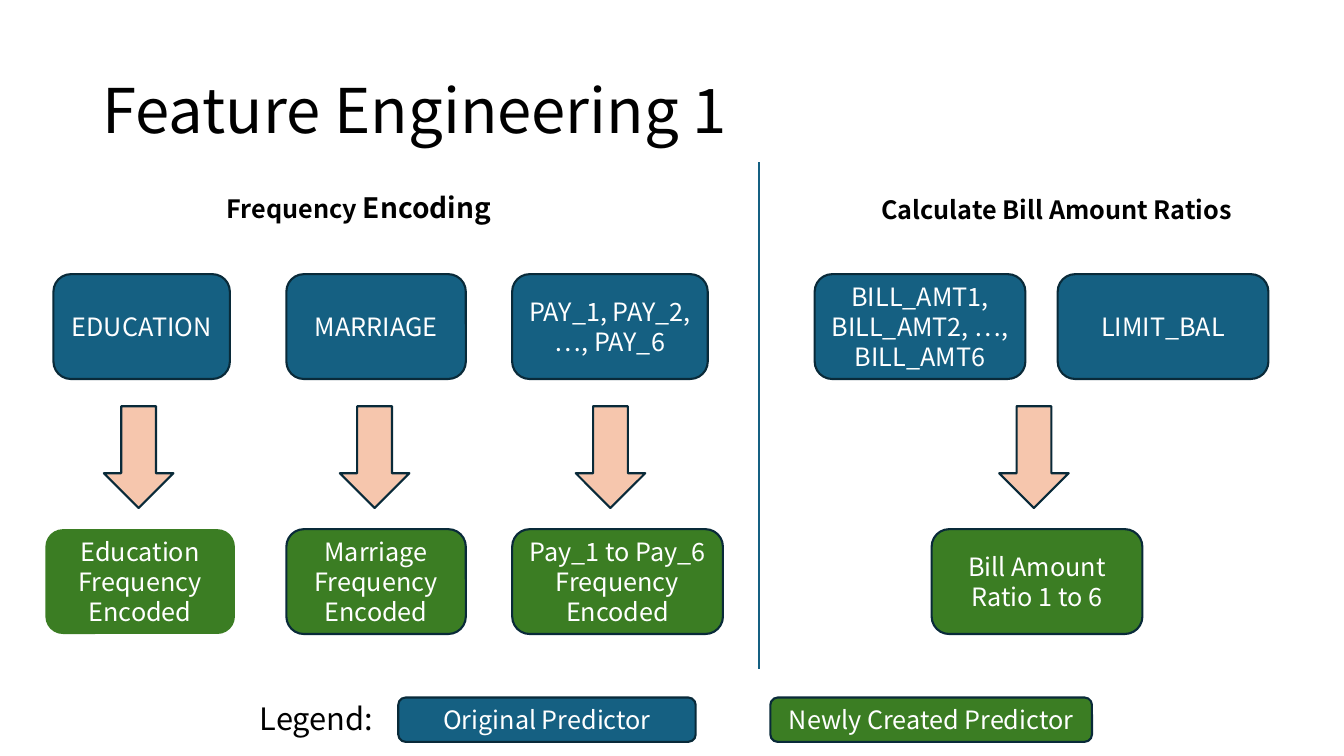
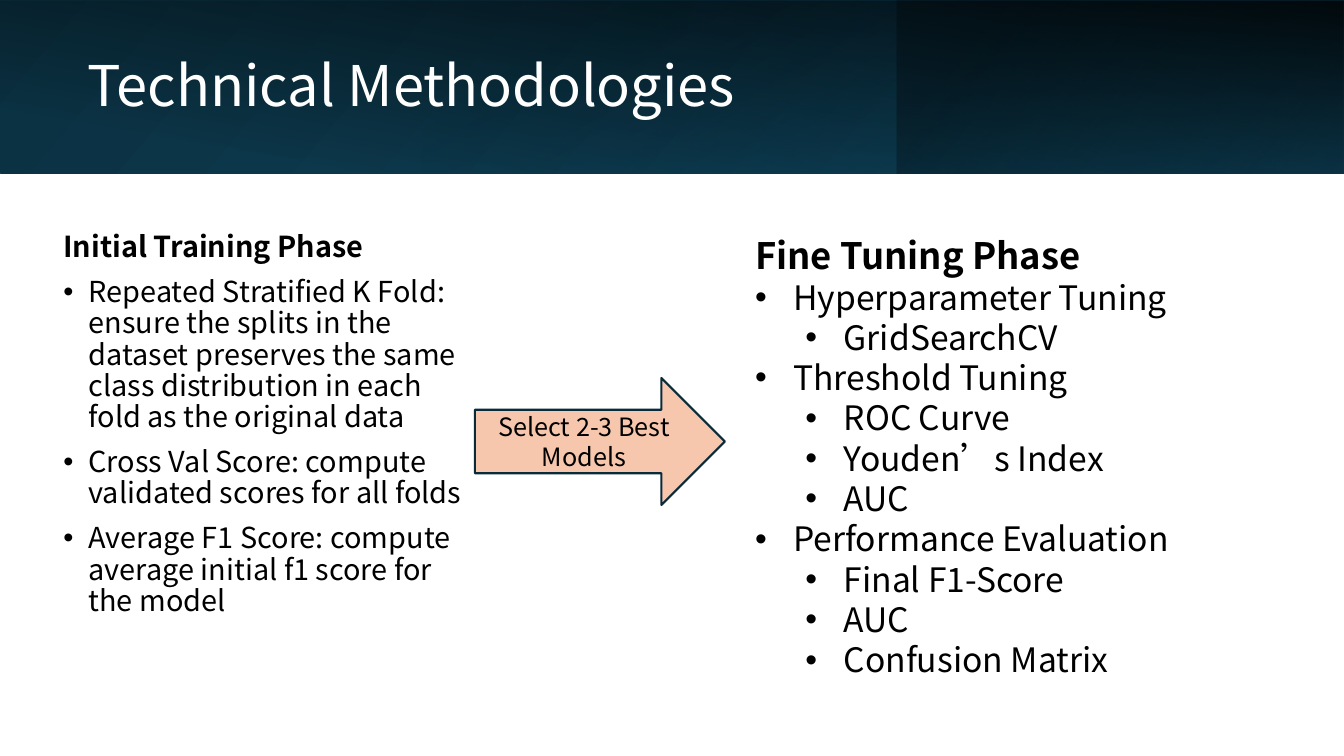
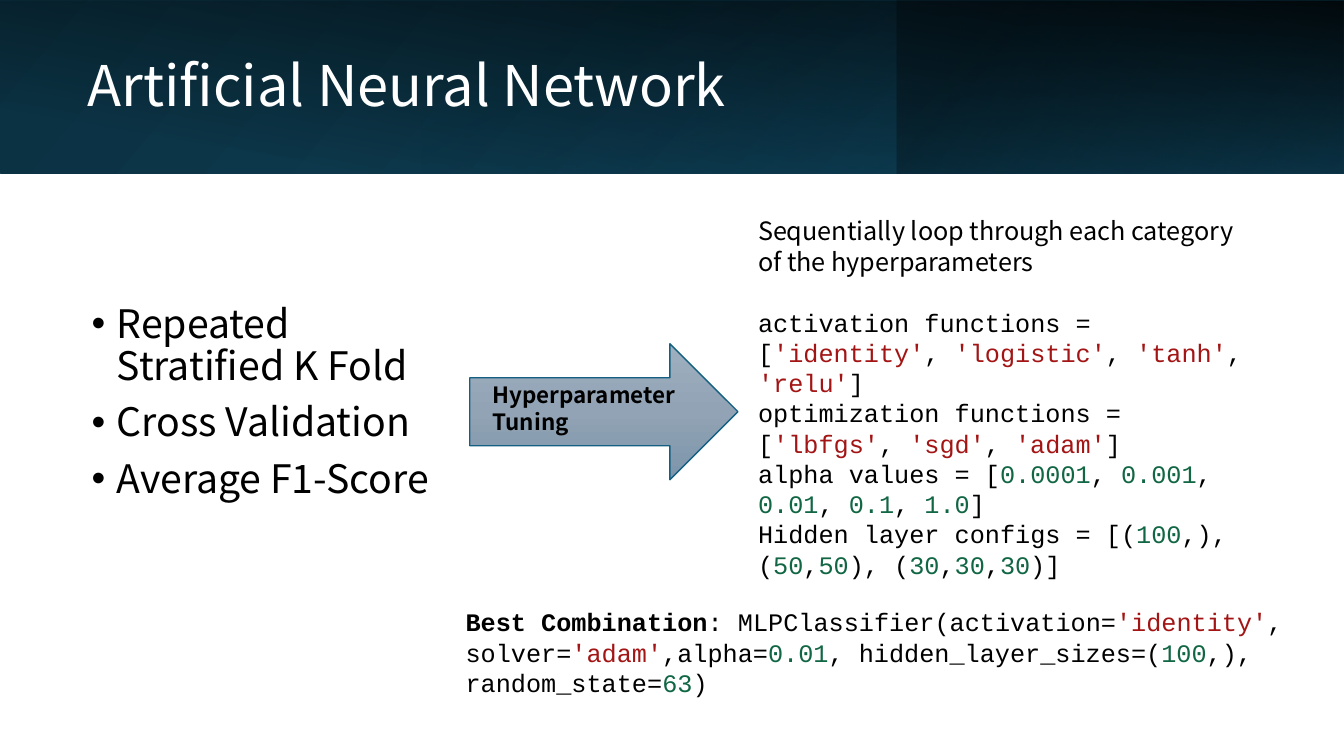
from dataclasses import dataclass

from lxml import etree
from pptx import Presentation
from pptx.dml.color import RGBColor
from pptx.enum.shapes import MSO_CONNECTOR, MSO_SHAPE as Preset
from pptx.enum.text import MSO_ANCHOR as Anchor, PP_ALIGN as Align
from pptx.oxml.ns import qn
from pptx.util import Inches, Pt


class Theme:
    BODY_FONT = "Noto Sans CJK SC"
    CODE_FONT = "Courier New"
    BLACK, WHITE = "000000", "FFFFFF"
    BLUE, GREEN, PEACH = "156082", "3B7D23", "F6C6AD"
    NAVY, DEEP_BLUE, OUTLINE = "0B3041", "104862", "092A39"
    STRING, NUMBER = "A31515", "116644"
    STEEL = [(0, "9EAFBF", 100), (50, "91A3B4", 100), (100, "7C95AB", 100)]
    TITLE, BAND_TITLE, LARGE, HEADING, TREE = 44, 40, 28, 26, 24
    LEGEND, PHASE, EMPHASIS, NORMAL, SMALL = 22, 20.6, 20, 18, 16
    OUTLINE_WIDTH = 1.5


@dataclass
class Run:
    text: str
    size: float = Theme.NORMAL
    color: str = Theme.BLACK
    bold: bool = False
    font: str = Theme.BODY_FONT


@dataclass
class Para:
    runs: list
    align: Align = Align.LEFT
    spacing: float = 1.0
    before: float = 0
    level: int = 0
    indent: float = 0
    hang: float = 0


# ---- Content ----

ENCODING_HEADING = [Run("Frequency ", bold=True),
                    Run("Encoding", Theme.EMPHASIS, bold=True)]
RATIO_HEADING = [Run("Calculate Bill Amount Ratios", bold=True)]
# text, left, width
ORIGINAL_PREDICTORS = [
    ("EDUCATION", 0.53, 1.75),
    ("MARRIAGE", 2.84, 1.78),
    ("PAY_1, PAY_2,\n…, PAY_6", 5.08, 1.94),
    ("BILL_AMT1, BILL_AMT2, …, BILL_AMT6", 8.08, 2.09),
    ("LIMIT_BAL", 10.49, 2.09),
]
# text, left, width, outline
NEW_PREDICTORS = [
    ("Education Frequency Encoded", 0.45, 1.88, None),
    ("Marriage Frequency Encoded", 2.84, 1.78, Theme.OUTLINE),
    ("Pay_1 to Pay_6 Frequency Encoded", 5.08, 2.09, Theme.OUTLINE),
    ("Bill Amount Ratio 1 to 6", 9.24, 2.09, Theme.OUTLINE),
]
ARROW_LEFTS = [1.03 + 2.34 * column for column in range(3)] + [9.91]
LEGEND_KEYS = [
    ("Original Predictor", 3.95, 2.95, Theme.BLUE),
    ("Newly Created Predictor", 7.64, 3.19, Theme.GREEN),
]

TRAINING_STEPS = [
    "Repeated Stratified K Fold: ensure the splits in the dataset preserves "
    "the same class distribution in each fold as the original data",
    "Cross Val Score: compute validated scores for all folds",
    "Average F1 Score: compute average initial f1 score for the model",
]
TUNING_STEPS = [
    ("Hyperparameter Tuning", ["GridSearchCV"]),
    ("Threshold Tuning", ["ROC Curve", "Youden’s Index", "AUC"]),
    ("Performance Evaluation", ["Final F1-Score", "AUC", "Confusion Matrix"]),
]

NETWORK_STEPS = ["Repeated Stratified K Fold", "Cross Validation", "Average F1-Score"]
LOOP_NOTE = "Sequentially loop through each category of the hyperparameters"
# Backticks enclose the literals that get a colour.
SEARCH_SPACE = [
    "activation functions = [`'identity'`, `'logistic'`, `'tanh'`, `'relu'`]",
    "optimization functions = [`'lbfgs'`, `'sgd'`, `'adam'`]",
    "alpha values = [`0.0001`, `0.001`, `0.01`, `0.1`, `1.0`]",
    "Hidden layer configs = [(`100`,), (`50`,`50`), (`30`,`30`,`30`)]",
]
BEST_MODEL = (": MLPClassifier(activation=`'identity'`, solver=`'adam'`,alpha=`0.01`, "
              "hidden_layer_sizes=(`100`,), random_state=`63`)")

# box, rotation, flipped, stops (position, colour, opacity), angle
BAND_LAYERS = [
    ((0, 0, 13.33, 1.72), 0, True,
     [(0, Theme.NAVY, 100), (100, Theme.DEEP_BLUE, 100)], 140),
    ((8.89, 0, 4.44, 1.72), 180, True,
     [(19, Theme.NAVY, 68), (100, Theme.BLUE, 79)], 320),
    ((5.8, -5.8, 1.72, 13.33), 90, False,
     [(16, Theme.BLACK, 0), (99, Theme.BLACK, 87)], 190),
    ((4.18, 0, 4.71, 1.72), 0, False,
     [(0, Theme.BLUE, 17), (74, Theme.NAVY, 0)], 240),
]


# ---- Helpers ----

def rgb(color):
    return RGBColor.from_string(color)


def inches(box):
    return [Inches(length) for length in box]


def write(frame, paras, anchor):
    frame.word_wrap = True
    frame.vertical_anchor = anchor
    for index, para in enumerate(paras):
        line = frame.add_paragraph() if index else frame.paragraphs[0]
        line.alignment, line.level = para.align, para.level
        line.line_spacing, line.space_before = para.spacing, Pt(para.before)
        if para.hang:
            props = line._p.get_or_add_pPr()
            props.set("marL", str(Inches(para.indent)))
            props.set("indent", str(-Inches(para.hang)))
            etree.SubElement(props, qn("a:buFont"), typeface="Arial")
            etree.SubElement(props, qn("a:buChar"), char="•")
        for part in para.runs:
            run = line.add_run()
            run.text = part.text
            run.font.name, run.font.size = part.font, Pt(part.size)
            run.font.bold = part.bold
            run.font.color.rgb = rgb(part.color)


def add_text(shapes, box, paras, anchor=Anchor.TOP):
    write(shapes.add_textbox(*inches(box)).text_frame, paras, anchor)


def add_shape(shapes, preset, box, fill=None, outline=Theme.OUTLINE,
              text="", color=Theme.WHITE, width=Theme.OUTLINE_WIDTH):
    shape = shapes.add_shape(preset, *inches(box))
    shape.shadow.inherit = False
    if fill:
        shape.fill.solid()
        shape.fill.fore_color.rgb = rgb(fill)
    if outline:
        shape.line.color.rgb = rgb(outline)
        shape.line.width = Pt(width)
    else:
        shape.line.fill.background()
    if text:
        write(shape.text_frame, [Para([Run(line, color=color)], Align.CENTER)
                                 for line in text.split("\n")], Anchor.MIDDLE)
    return shape


def set_gradient(shape, stops, angle):
    """Fill with (position, colour, opacity) stops; the angle runs clockwise."""
    shape.fill.background()
    props = shape.element.spPr
    gradient = etree.Element(qn("a:gradFill"), rotWithShape="1")
    stop_list = etree.SubElement(gradient, qn("a:gsLst"))
    for position, color, opacity in stops:
        stop = etree.SubElement(stop_list, qn("a:gs"), pos=str(position * 1000))
        value = etree.SubElement(stop, qn("a:srgbClr"), val=color)
        if opacity < 100:
            etree.SubElement(value, qn("a:alpha"), val=str(opacity * 1000))
    etree.SubElement(gradient, qn("a:lin"), ang=str(angle * 60000), scaled="0")
    props.replace(props.find(qn("a:noFill")), gradient)


def add_title(shapes, box, text, size, color):
    add_text(shapes, box, [Para([Run(text, size, color)], spacing=0.9)], Anchor.MIDDLE)


def add_banded_title(shapes, text, width):
    for box, rotation, flipped, stops, angle in BAND_LAYERS:
        layer = add_shape(shapes, Preset.RECTANGLE, box, outline=None)
        set_gradient(layer, stops, angle)
        layer.rotation = rotation
        if flipped:
            layer.element.spPr.find(qn("a:xfrm")).set("flipH", "1")
    add_title(shapes, (0.77, 0.39, width, 0.98), text, Theme.BAND_TITLE, Theme.WHITE)


def body_bullets(texts, size):
    return [Para([Run(text, size)], spacing=0.9, before=10, indent=0.25, hang=0.25)
            for text in texts]


def code_runs(code):
    """Split code at backticks and colour the enclosed strings and numbers."""
    runs = []
    for index, piece in enumerate(code.split("`")):
        literal = Theme.STRING if piece.startswith("'") else Theme.NUMBER
        color = literal if index % 2 else Theme.BLACK
        if piece:
            runs.append(Run(piece, color=color, font=Theme.CODE_FONT))
    return runs


# ---- Slides ----

def build_feature_engineering(shapes):
    box_height, original_top, arrow_top, new_top = 1.04, 2.72, 4.03, 5.25
    add_title(shapes, (0.92, 0.4, 11.5, 1.45), "Feature Engineering 1",
              Theme.TITLE, Theme.BLACK)
    for text, left, width in ORIGINAL_PREDICTORS:
        add_shape(shapes, Preset.ROUNDED_RECTANGLE,
                  (left, original_top, width, box_height), Theme.BLUE, text=text)
    for text, left, width, outline in NEW_PREDICTORS:
        add_shape(shapes, Preset.ROUNDED_RECTANGLE,
                  (left, new_top, width, box_height), Theme.GREEN, outline, text)
    for left in ARROW_LEFTS:
        add_shape(shapes, Preset.DOWN_ARROW, (left, arrow_top, 0.69, 1.01), Theme.PEACH)
    for text, left, width, fill in LEGEND_KEYS:
        add_shape(shapes, Preset.ROUNDED_RECTANGLE, (left, 6.92, width, 0.44),
                  fill, text=text)
    add_text(shapes, (2.48, 6.89, 1.66, 0.47), [Para([Run("Legend:", Theme.LEGEND)])])
    add_text(shapes, (2.15, 1.84, 3.28, 0.44), [Para(ENCODING_HEADING)])
    add_text(shapes, (8.64, 1.88, 3.94, 0.4), [Para(RATIO_HEADING)])
    divider = shapes.add_connector(MSO_CONNECTOR.STRAIGHT,
                                   *inches((7.53, 1.61, 7.53, 6.64)))
    divider.line.color.rgb = rgb(Theme.BLUE)
    divider.line.width = Pt(Theme.OUTLINE_WIDTH)
    etree.SubElement(divider.element.spPr, qn("a:effectLst"))


def build_methodologies(shapes):
    add_banded_title(shapes, "Technical Methodologies", 7.76)
    training = [Para([Run("Initial Training Phase", Theme.PHASE, bold=True)],
                     spacing=0.9, before=10)]
    add_text(shapes, (0.53, 2.26, 4.18, 4.21),
             training + body_bullets(TRAINING_STEPS, Theme.PHASE))
    tuning = [Para([Run("Fine Tuning Phase", Theme.HEADING, bold=True)])]
    for step, details in TUNING_STEPS:
        for level, text in [(0, step)] + [(1, detail) for detail in details]:
            tuning.append(Para([Run(text, Theme.TREE)], level=level,
                               indent=0.38 + 0.5 * level, hang=0.38))
    add_text(shapes, (7.39, 2.26, 5.69, 4.58), tuning)
    add_shape(shapes, Preset.RIGHT_ARROW, (4.71, 3.75, 2.48, 1.26), Theme.PEACH,
              text="Select 2-3 Best Models", color=Theme.BLACK)


def build_neural_network(shapes):
    add_banded_title(shapes, "Artificial Neural Network", 9.86)
    add_text(shapes, (0.81, 2.97, 3.7, 2.23), body_bullets(NETWORK_STEPS, Theme.LARGE))
    search = [Para(code_runs(line)) for line in SEARCH_SPACE]
    search[0].before = 22
    add_text(shapes, (7.42, 2.09, 5.1, 3.74), [Para([Run(LOOP_NOTE)])] + search)
    tuning = shapes.add_group_shape().shapes
    arrow = add_shape(tuning, Preset.RIGHT_ARROW, (4.66, 3.41, 2.66, 1.35),
                      outline=Theme.BLUE, width=1)
    set_gradient(arrow, Theme.STEEL, 90)
    add_text(tuning, (4.79, 3.73, 2.1, 0.64),
             [Para([Run("Hyperparameter Tuning", Theme.SMALL, bold=True)])])
    best = Run("Best Combination", bold=True, font=Theme.CODE_FONT)
    add_text(shapes, (4.52, 5.97, 8.67, 1.01), [Para([best] + code_runs(BEST_MODEL))])


def main():
    deck = Presentation()
    deck.slide_width, deck.slide_height = Inches(13.33), Inches(7.5)
    blank = deck.slide_layouts[6]
    for build in (build_feature_engineering, build_methodologies, build_neural_network):
        build(deck.slides.add_slide(blank).shapes)
    deck.save("out.pptx")


if __name__ == "__main__":
    main()
